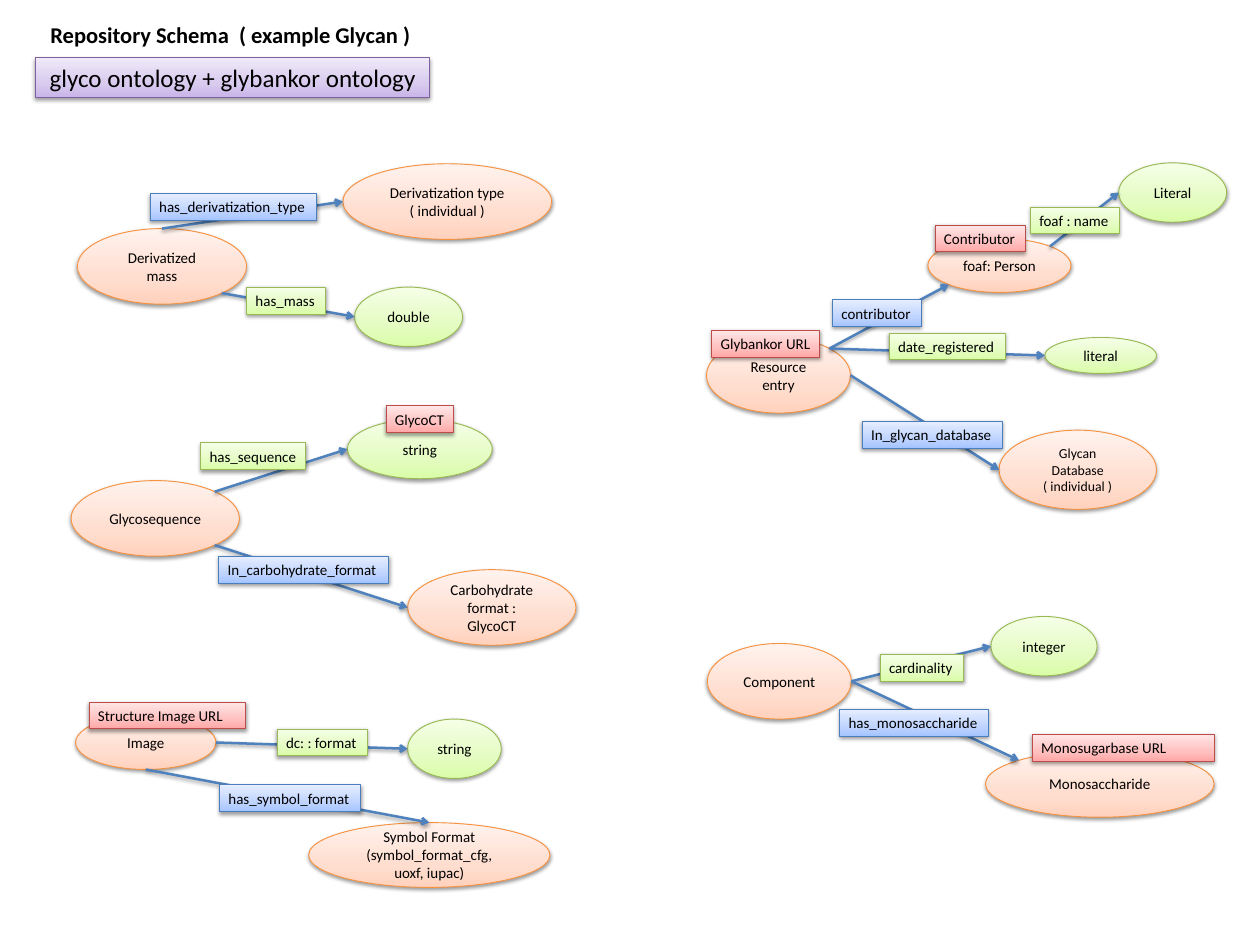
from math import cos, radians, sin

from lxml.etree import SubElement
from pptx import Presentation
from pptx.dml.color import RGBColor
from pptx.enum.shapes import MSO_CONNECTOR, MSO_SHAPE
from pptx.enum.text import MSO_ANCHOR, MSO_AUTO_SIZE, PP_ALIGN
from pptx.oxml import parse_xml
from pptx.oxml.ns import nsdecls, qn
from pptx.util import Inches, Pt

THEME = {
    "font": "Calibri", "text": "000000", "arrow": "4F81BD",
    "title": 18, "banner": 20, "body": 12, "small": 11,
    "outline": 0.75, "arrow_width": 2,
    # palette: bottom, middle and top of the gradient, then the outline
    "orange": ("FFD2BD", "FFDED0", "FFF2ED", "F69240"),
    "green": ("DAFDA7", "E4FCC2", "F5FFE7", "98B955"),
    "blue": ("A4C4FF", "BFD4FF", "E6EEFF", "4B7EBC"),
    "red": ("FFA6A5", "FFC0BF", "FFE7E7", "BF4C48"),
    "purple": ("C9B5E8", "D8CBEE", "F0EAF9", "7D60A0"),
}

TITLE = ("Repository Schema  ( example Glycan )", (0.46, 0.18, 4.55, 0.4))
BANNER = ("glyco ontology + glybankor ontology", (0.39, 0.64, 4.38, 0.44))

# Nodes: key -> lines, palette, (left, top, width, height)
NODES = {
    "mass": (["Derivatized mass"], "orange", (0.86, 2.54, 1.88, 0.84)),
    "type": (["Derivatization type", "( individual )"], "orange", (3.81, 1.82, 2.32, 0.84)),
    "double": (["double"], "green", (3.94, 3.19, 1.2, 0.66)),
    "sequence": (["Glycosequence"], "orange", (0.79, 5.34, 1.87, 0.84)),
    "sequence text": (["string"], "green", (3.86, 4.66, 1.61, 0.66)),
    "carbohydrate": (["Carbohydrate format : GlycoCT"], "orange", (4.53, 6.33, 1.87, 0.84)),
    "image": (["Image"], "orange", (0.84, 7.95, 1.56, 0.6)),
    "image format": (["string"], "green", (4.53, 7.99, 1.04, 0.66)),
    "symbol": (["Symbol Format", "(symbol_format_cfg, uoxf, iupac)"], "orange",
               (3.43, 9.14, 2.68, 0.72)),
    "entry": (["Resource entry"], "orange", (7.85, 3.75, 1.6, 0.84)),
    "person": (["foaf: Person"], "orange", (10.31, 2.65, 1.59, 0.6)),
    "name": (["Literal"], "green", (12.43, 1.81, 1.2, 0.66)),
    "date": (["literal"], "green", (11.61, 3.75, 1.24, 0.4)),
    "database": (["Glycan Database", "( individual )"], "orange", (11.1, 4.78, 1.75, 0.88)),
    "component": (["Component"], "orange", (7.86, 7.15, 1.6, 0.84)),
    "integer": (["integer"], "green", (11.01, 6.85, 1.18, 0.66)),
    "monosaccharide": (["Monosaccharide"], "orange", (10.95, 8.34, 2.54, 0.74)),
}
SMALL_NODES = {"database"}

# Ellipse connection sites run counter-clockwise from the top in 45 degree steps
TOP, TOP_LEFT, LEFT, BOTTOM_LEFT, BOTTOM, BOTTOM_RIGHT, RIGHT, TOP_RIGHT = range(8)

# Relations: from node, site, to node, site
RELATIONS = [
    ("mass", TOP, "type", LEFT),
    ("mass", BOTTOM_RIGHT, "double", LEFT),
    ("sequence", TOP_RIGHT, "sequence text", LEFT),
    ("sequence", BOTTOM_RIGHT, "carbohydrate", LEFT),
    ("image", RIGHT, "image format", LEFT),
    ("image", BOTTOM, "symbol", TOP),
    ("entry", TOP_RIGHT, "person", BOTTOM_LEFT),
    ("entry", TOP_RIGHT, "date", LEFT),
    ("entry", RIGHT, "database", LEFT),
    ("person", TOP_RIGHT, "name", LEFT),
    ("component", RIGHT, "integer", LEFT),
    ("component", RIGHT, "monosaccharide", TOP_LEFT),
]

# Labels: text, palette, left, top, width
LABEL_HEIGHT = 0.3
LABELS = [
    ("has_derivatization_type", "blue", 1.67, 2.15, 1.85),
    ("has_mass", "green", 2.74, 3.19, 0.88),
    ("has_sequence", "green", 2.23, 4.92, 1.17),
    ("In_carbohydrate_format", "blue", 2.43, 6.18, 1.89),
    ("dc: : format", "green", 3.08, 8.1, 1),
    ("has_symbol_format", "blue", 2.44, 8.72, 1.57),
    ("date_registered", "green", 9.88, 3.7, 1.29),
    ("contributor", "blue", 9.25, 3.33, 0.99),
    ("In_glycan_database", "blue", 9.58, 4.68, 1.56),
    ("foaf : name", "green", 11.45, 2.3, 0.99),
    ("cardinality", "green", 9.78, 7.27, 0.93),
    ("has_monosaccharide", "blue", 9.33, 7.88, 1.65),
    ("GlycoCT", "red", 4.29, 4.51, 0.75),
    ("Glybankor URL", "red", 7.91, 3.67, 1.2),
    ("Contributor", "red", 10.39, 2.5, 1),
]
# Labels wider than their text
WIDE_LABELS = [
    ("Structure Image URL", "red", 0.99, 7.8, 1.74),
    ("Monosugarbase URL", "red", 11.47, 8.16, 2.02),
]


def add_shadow(shape):
    shape._element.spPr.append(parse_xml(
        f'<a:effectLst {nsdecls("a")}><a:outerShdw blurRad="40000" dist="20000" dir="5400000" '
        'rotWithShape="0"><a:srgbClr val="000000"><a:alpha val="38000"/></a:srgbClr>'
        '</a:outerShdw></a:effectLst>'))


def set_text(shape, lines, size, align, anchor, wrap=True, margins=(0.1, 0.05, 0.1, 0.05), bold=False):
    frame = shape.text_frame
    frame.text = "\n".join(lines)
    frame.word_wrap = wrap
    frame.auto_size = MSO_AUTO_SIZE.NONE
    frame.vertical_anchor = anchor
    (frame.margin_left, frame.margin_top,
     frame.margin_right, frame.margin_bottom) = map(Inches, margins)
    for paragraph in frame.paragraphs:
        paragraph.alignment = align
        paragraph.font.name = THEME["font"]
        paragraph.font.size = Pt(size)
        paragraph.font.bold = bold
        paragraph.font.color.rgb = RGBColor.from_string(THEME["text"])


def add_box(slide, kind, palette, box):
    shape = slide.shapes.add_shape(kind, *map(Inches, box))
    *colors, outline = THEME[palette]
    stops = "".join(f'<a:gs pos="{position}"><a:srgbClr val="{color}"/></a:gs>'
                    for position, color in zip((0, 35000, 100000), colors))
    shape._element.spPr.append(parse_xml(
        f'<a:gradFill {nsdecls("a")} rotWithShape="1"><a:gsLst>{stops}</a:gsLst>'
        '<a:lin ang="16200000" scaled="0"/></a:gradFill>'))
    shape.line.color.rgb = RGBColor.from_string(outline)
    shape.line.width = Pt(THEME["outline"])
    add_shadow(shape)
    return shape


def add_label(slide, text, palette, box, size, wrap=False, margins=(0.1, 0.05, 0.1, 0.05)):
    shape = add_box(slide, MSO_SHAPE.RECTANGLE, palette, box)
    set_text(shape, [text], size, PP_ALIGN.LEFT, MSO_ANCHOR.TOP, wrap, margins)


def site_point(shape, site):
    angle = radians(90 + 45 * site)
    return (round(shape.left + shape.width / 2 * (1 + cos(angle))),
            round(shape.top + shape.height / 2 * (1 - sin(angle))))


def add_relation(slide, source, source_site, target, target_site):
    connector = slide.shapes.add_connector(
        MSO_CONNECTOR.STRAIGHT, *site_point(source, source_site), *site_point(target, target_site))
    connector.line.color.rgb = RGBColor.from_string(THEME["arrow"])
    connector.line.width = Pt(THEME["arrow_width"])
    SubElement(connector.line._get_or_add_ln(), qn("a:tailEnd"), type="arrow")
    add_shadow(connector)
    ends = connector._element.nvCxnSpPr.cNvCxnSpPr
    for tag, shape, site in (("a:stCxn", source, source_site), ("a:endCxn", target, target_site)):
        SubElement(ends, qn(tag), id=str(shape.shape_id), idx=str(site))


def main():
    presentation = Presentation()
    presentation.slide_width, presentation.slide_height = Inches(14), Inches(10.5)
    slide = presentation.slides.add_slide(presentation.slide_layouts[5])

    # Title and banner
    text, box = TITLE
    title = slide.shapes.title
    title.left, title.top, title.width, title.height = map(Inches, box)
    set_text(title, [text], THEME["title"], PP_ALIGN.LEFT, MSO_ANCHOR.TOP, bold=True)
    text, box = BANNER
    add_label(slide, text, "purple", box, THEME["banner"], margins=(0.16, 0.05, 0.1, 0.05))

    # Nodes
    nodes = {}
    for key, (lines, palette, box) in NODES.items():
        nodes[key] = add_box(slide, MSO_SHAPE.OVAL, palette, box)
        size = THEME["small" if key in SMALL_NODES else "body"]
        set_text(nodes[key], lines, size, PP_ALIGN.CENTER, MSO_ANCHOR.MIDDLE,
                 margins=(0.14, 0.07, 0.14, 0.07))

    # Relations, with their labels on top
    for source, source_site, target, target_site in RELATIONS:
        add_relation(slide, nodes[source], source_site, nodes[target], target_site)
    for labels, wrap in ((LABELS, False), (WIDE_LABELS, True)):
        for text, palette, left, top, width in labels:
            add_label(slide, text, palette, (left, top, width, LABEL_HEIGHT), THEME["body"], wrap)

    presentation.save("out.pptx")


if __name__ == "__main__":
    main()
